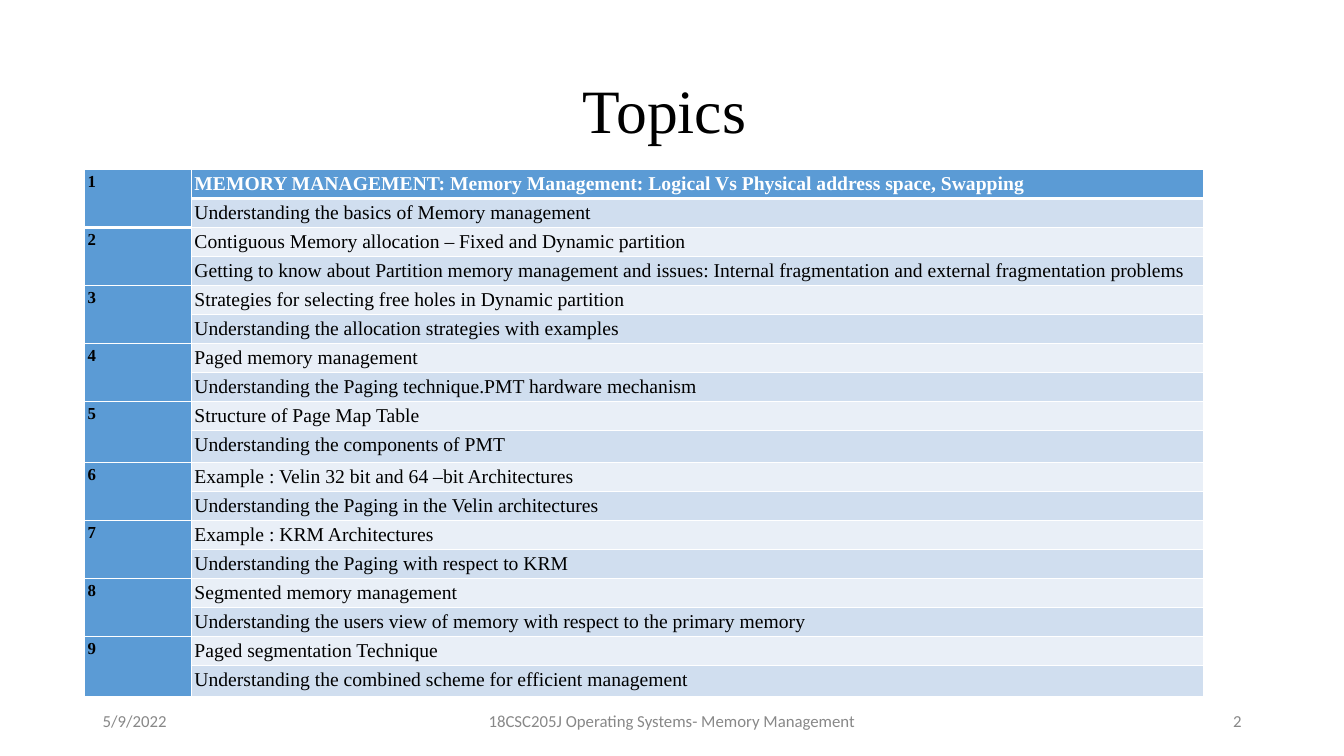
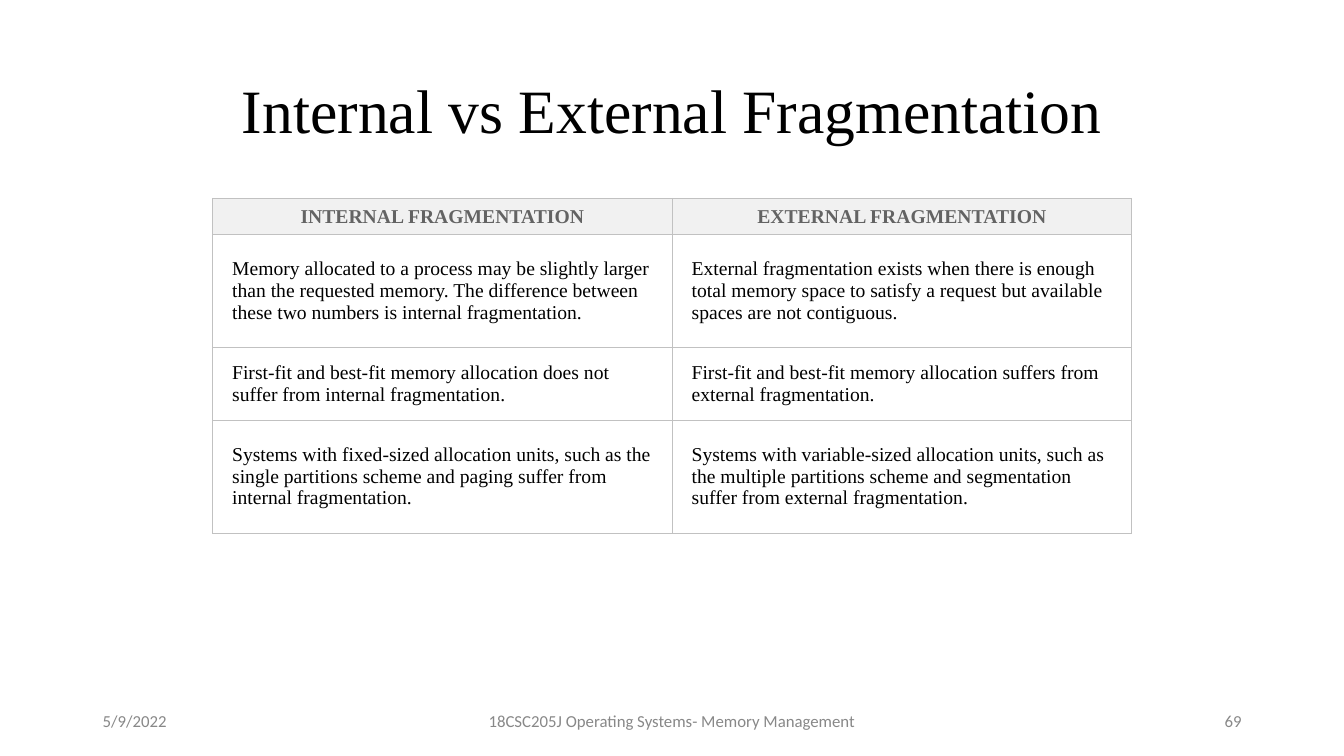
import pptx
import pptx.dml.color
import pptx.enum.text
import pptx.oxml
import pptx.oxml.ns
import pptx.util
from dataclasses import dataclass

Cm, Pt = pptx.util.Cm, pptx.util.Pt
ALIGN = pptx.enum.text.PP_ALIGN
MIDDLE = pptx.enum.text.MSO_ANCHOR.MIDDLE
TOP = pptx.enum.text.MSO_ANCHOR.TOP


@dataclass(frozen=True)
class Theme:
    serif: str = "Times New Roman"
    sans: str = "Calibri"
    black: str = "000000"
    white: str = "FFFFFF"
    accent: str = "5B9BD5"
    band_dark: str = "D0DEEF"
    band_light: str = "E9EFF7"
    header_fill: str = "F1F1F1"
    header_text: str = "636363"
    grid: str = "C1C1C1"
    footer: str = "888888"
    title_size: int = 44
    body_size: int = 14
    small_size: int = 12


THEME = Theme()

TOPICS = [
    ("MEMORY MANAGEMENT: Memory Management: Logical Vs Physical address space, Swapping",
     "Understanding the basics of Memory management"),
    ("Contiguous Memory allocation – Fixed and Dynamic partition",
     "Getting to know about Partition memory management and issues: "
     "Internal fragmentation and external fragmentation problems"),
    ("Strategies for selecting free holes in Dynamic partition",
     "Understanding the allocation strategies with examples"),
    ("Paged memory management",
     "Understanding the Paging technique.PMT hardware mechanism"),
    ("Structure of Page Map Table",
     "Understanding the components of PMT"),
    ("Example : Velin 32 bit and 64 –bit Architectures",
     "Understanding the Paging in the Velin architectures"),
    ("Example : KRM Architectures",
     "Understanding the Paging with respect to KRM"),
    ("Segmented memory management",
     "Understanding the users view of memory with respect to the primary memory"),
    ("Paged segmentation Technique",
     "Understanding the combined scheme for efficient management"),
]

FRAGMENTATION = [
    ("INTERNAL FRAGMENTATION", "EXTERNAL FRAGMENTATION"),
    ("Memory allocated to a process may be slightly larger than the requested memory. "
     "The difference between these two numbers is internal fragmentation.",
     "External fragmentation exists when there is enough total memory space to satisfy "
     "a request but available spaces are not contiguous."),
    ("First-fit and best-fit memory allocation does not suffer from internal fragmentation.",
     "First-fit and best-fit memory allocation suffers from external fragmentation."),
    ("Systems with fixed-sized allocation units, such as the single partitions scheme "
     "and paging suffer from internal fragmentation.",
     "Systems with variable-sized allocation units, such as the multiple partitions scheme "
     "and segmentation suffer from external fragmentation."),
]

DATE = "5/9/2022"
COURSE = "18CSC205J Operating Systems- Memory Management"


def write(frame, text, size, color, font=THEME.serif, bold=False,
          align=ALIGN.LEFT, spacing=None):
    frame.text = text
    paragraph = frame.paragraphs[0]
    paragraph.alignment = align
    if spacing:
        paragraph.line_spacing = spacing
    paragraph.font.size = Pt(size)
    paragraph.font.name = font
    paragraph.font.bold = bold
    paragraph.font.color.rgb = pptx.dml.color.RGBColor.from_string(color)


def add_footer(slide, number):
    parts = [
        (DATE, 2.34, 7.62, ALIGN.LEFT),
        (COURSE, 11.22, 11.43, ALIGN.CENTER),
        (str(number), 23.92, 7.62, ALIGN.RIGHT),
    ]
    for text, left, width, align in parts:
        frame = slide.shapes.add_textbox(Cm(left), Cm(17.65), Cm(width), Cm(1.01)).text_frame
        frame.word_wrap = True
        frame.vertical_anchor = MIDDLE
        write(frame, text, THEME.small_size, THEME.footer, THEME.sans, align=align)


def add_titled_slide(deck, title, number):
    slide = deck.slides.add_slide(deck.slide_layouts[5])
    heading = slide.shapes.title
    heading.left, heading.top, heading.width, heading.height = (
        Cm(2.34), Cm(1.02), Cm(29.21), Cm(3.68))
    heading.text_frame.vertical_anchor = MIDDLE
    write(heading.text_frame, title, THEME.title_size, THEME.black,
          align=ALIGN.CENTER, spacing=0.9)
    add_footer(slide, number)
    return slide


def add_plain_table(slide, left, top, widths, heights):
    """Add a table without banding; sizes are in centimetres."""
    table = slide.shapes.add_table(
        len(heights), len(widths), Cm(left), Cm(top),
        Cm(sum(widths)), Cm(sum(heights))).table
    table.first_row = table.horz_banding = False
    for column, width in zip(table.columns, widths):
        column.width = Cm(width)
    for row, height in zip(table.rows, heights):
        row.height = Cm(height)
    return table


def style_cell(cell, fill, line, width, margins, anchor=TOP, top=None, bottom=None):
    """Set borders, fill and margins; top and bottom override the border width."""
    edges = {"L": width, "R": width, "T": top or width, "B": bottom or width}
    properties = cell._tc.get_or_add_tcPr()
    for edge, points in edges.items():
        properties.append(pptx.oxml.parse_xml(
            f'<a:ln{edge} {pptx.oxml.ns.nsdecls("a")} w="{Pt(points)}">'
            f'<a:solidFill><a:srgbClr val="{line}"/></a:solidFill></a:ln{edge}>'))
    cell.fill.solid()
    cell.fill.fore_color.rgb = pptx.dml.color.RGBColor.from_string(fill)
    side, vertical = margins
    cell.margin_left = cell.margin_right = Cm(side)
    cell.margin_top = cell.margin_bottom = Cm(vertical)
    cell.vertical_anchor = anchor


def add_topics(slide):
    heights = [0.73] * (2 * len(TOPICS))
    heights[9], heights[-1] = 0.81, 0.79
    table = add_plain_table(slide, 2.13, 4.27, (2.69, 25.5), heights)
    margins, thick = (0.08, 0.02), 3
    for index, pair in enumerate(TOPICS):
        first = 2 * index
        table.cell(first, 0).merge(table.cell(first + 1, 0))
        for offset, text in enumerate(pair):
            row = first + offset
            number, topic = table.cell(row, 0), table.cell(row, 1)
            is_header = row == 0
            style_cell(number, THEME.accent, THEME.white, 1, margins,
                       top=thick if row == 2 else None,
                       bottom=thick if row < 2 else None)
            band = THEME.band_dark if offset else THEME.band_light
            style_cell(topic, THEME.accent if is_header else band, THEME.white, 1, margins,
                       top=thick if row == 1 else None,
                       bottom=thick if is_header else None)
            write(topic.text_frame, text, THEME.body_size,
                  THEME.white if is_header else THEME.black,
                  bold=is_header, spacing=1.15)
        write(table.cell(first, 0).text_frame, str(index + 1), THEME.small_size,
              THEME.black, bold=True, spacing=1.15)


def add_fragmentation(slide):
    table = add_plain_table(slide, 5.36, 5, (11.58, 11.58), (0.91, 2.84, 1.84, 2.84))
    for row, texts in enumerate(FRAGMENTATION):
        is_header = row == 0
        for column, text in enumerate(texts):
            cell = table.cell(row, column)
            style_cell(cell, THEME.header_fill if is_header else THEME.white,
                       THEME.grid, 0.75, (0.49, 0.14 if is_header else 0.3), MIDDLE)
            write(cell.text_frame, text, THEME.body_size,
                  THEME.header_text if is_header else THEME.black, bold=is_header,
                  align=ALIGN.CENTER if is_header else ALIGN.LEFT)


def main():
    deck = pptx.Presentation()
    deck.slide_width, deck.slide_height = Cm(33.87), Cm(19.05)
    add_topics(add_titled_slide(deck, "Topics ", 2))
    add_fragmentation(add_titled_slide(deck, "Internal vs External Fragmentation", 69))
    deck.save("out.pptx")


if __name__ == "__main__":
    main()
